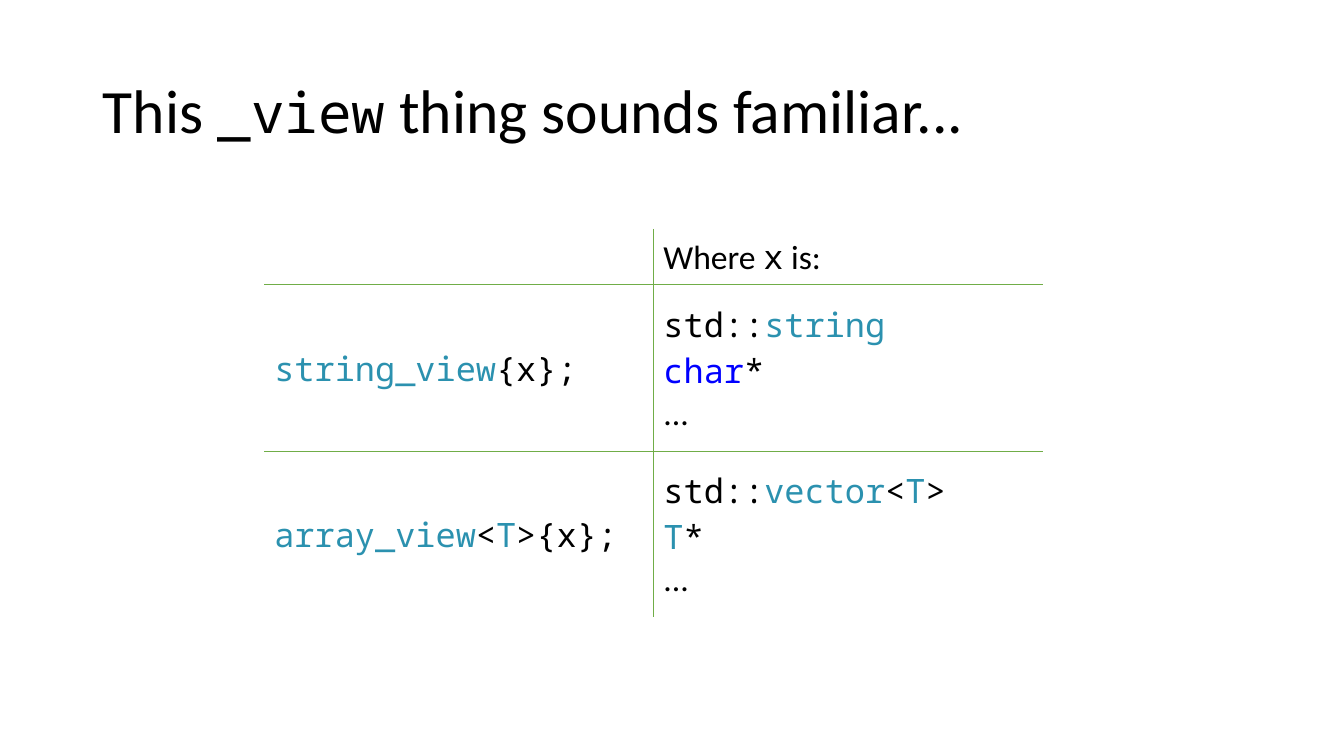
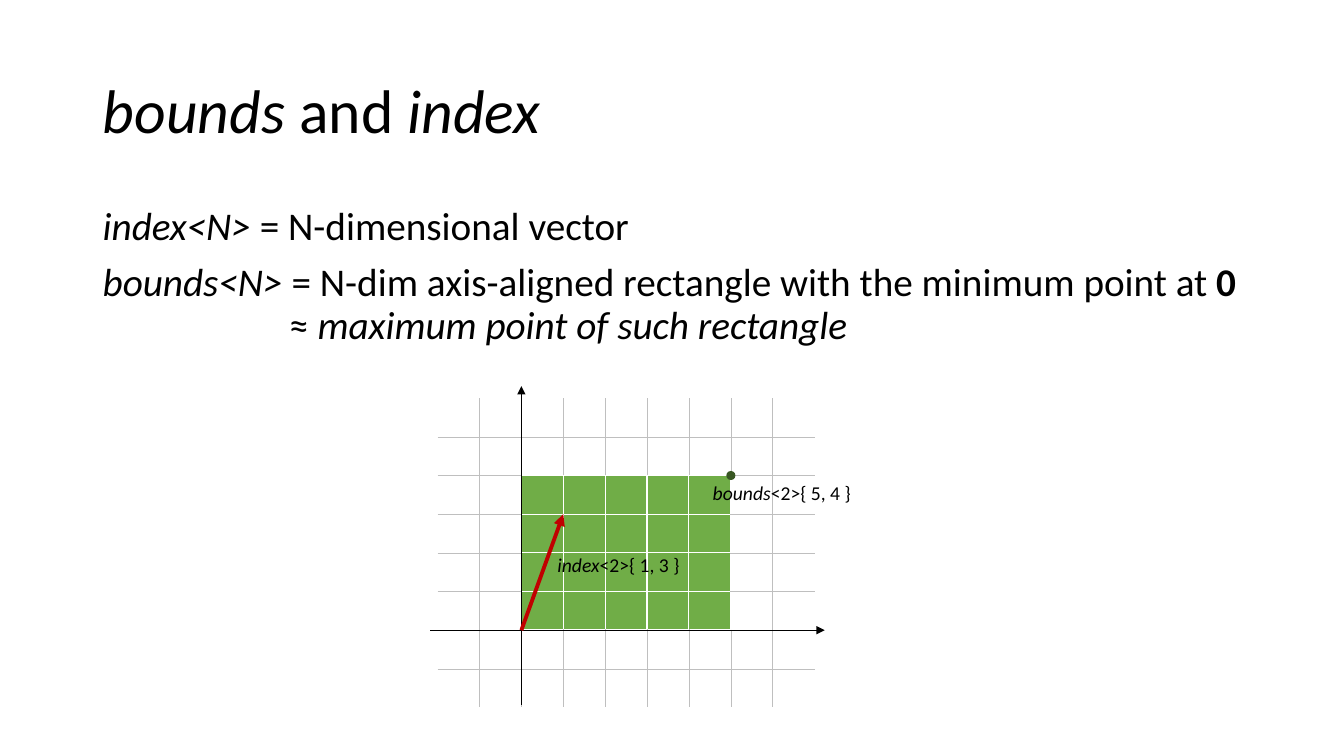
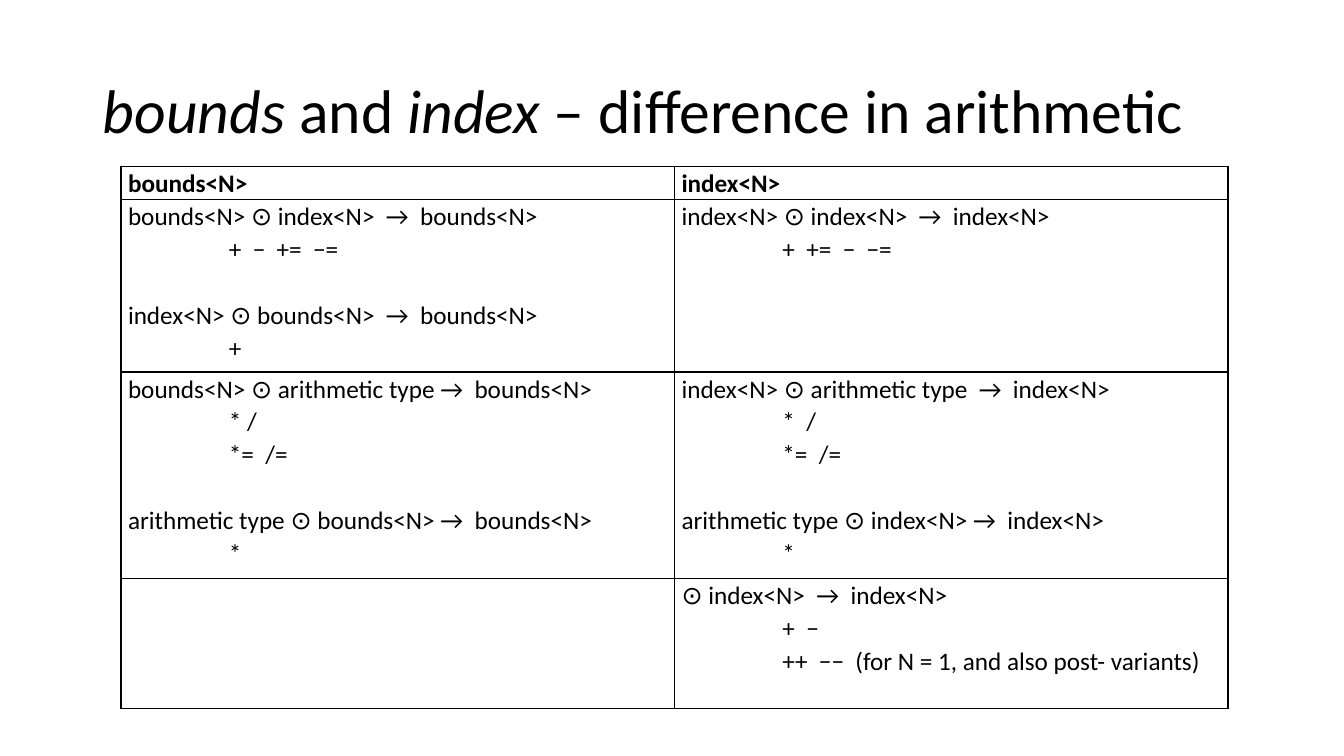
from dataclasses import dataclass

import pptx
import pptx.chart.data
import pptx.dml.color
import pptx.enum.shapes
import pptx.enum.text
import pptx.oxml
import pptx.oxml.ns
import pptx.util

Inches = pptx.util.Inches
Pt = pptx.util.Pt
ALIGN = pptx.enum.text.PP_ALIGN
ANCHOR = pptx.enum.text.MSO_ANCHOR


# Shared look
@dataclass(frozen=True)
class Theme:
    sans: str = "Calibri"
    mono: str = "Noto Sans Mono"
    black: str = "000000"
    white: str = "FFFFFF"
    green: str = "70AD47"
    dark_green: str = "385723"
    grid: str = "BFBFBF"
    red: str = "C00000"
    type_name: str = "2B91AF"
    keyword: str = "0000FF"
    title_size: float = 44
    title_code_size: float = 40
    body_size: float = 28
    code_size: float = 24
    rule_size: float = 18
    label_size: float = 14
    table_style: str = "{2D5ABB26-0587-4C30-8999-92F81FD0307C}"


THEME = Theme()


@dataclass(frozen=True)
class Span:
    text: str
    italic: bool = False
    bold: bool = False
    font: str = THEME.sans
    color: str = THEME.black
    size: float = 0


def slanted(text):
    return Span(text, italic=True)


def code(text, color=THEME.black, size=0):
    return Span(text, font=THEME.mono, color=color, size=size)


def type_code(text):
    return code(text, THEME.type_name)


def rgb(color):
    return pptx.dml.color.RGBColor.from_string(color)


# Text
def write(para, spans, size):
    for span in spans:
        run = para.add_run()
        run.text = span.text
        font = run.font
        font.name = span.font
        font.size = Pt(span.size or size)
        font.color.rgb = rgb(span.color)
        font.italic = span.italic
        font.bold = span.bold


def next_para(frame, first):
    return frame.paragraphs[0] if first else frame.add_paragraph()


def indent(para, inches):
    props = para._p.get_or_add_pPr()
    props.set("marL", str(Inches(inches)))
    props.set("indent", "0")


def add_titled_page(deck, spans):
    page = deck.slides.add_slide(deck.slide_layouts[5])
    title = page.shapes.title
    title.left, title.top = Inches(0.92), Inches(0.4)
    title.width, title.height = Inches(11.5), Inches(1.45)
    frame = title.text_frame
    frame.auto_size = pptx.enum.text.MSO_AUTO_SIZE.NONE
    frame.vertical_anchor = ANCHOR.MIDDLE
    para = frame.paragraphs[0]
    para.alignment = ALIGN.LEFT
    para.line_spacing = 0.9
    write(para, spans, THEME.title_size)
    return page


def add_text_box(page, left, top, width, height, wrap):
    box = page.shapes.add_textbox(Inches(left), Inches(top), Inches(width), Inches(height))
    box.text_frame.word_wrap = wrap
    return box.text_frame


def add_label(page, left, top, width, spans):
    frame = add_text_box(page, left, top, width, 0.34, False)
    write(frame.paragraphs[0], spans, THEME.label_size)


# Tables
def add_plain_table(page, left, top, widths, heights):
    frame = page.shapes.add_table(len(heights), len(widths), Inches(left), Inches(top),
                                  Inches(sum(widths)), Inches(sum(heights)))
    table = frame.table
    table.first_row = table.horz_banding = False
    table._tbl.tblPr.find(pptx.oxml.ns.qn("a:tableStyleId")).text = THEME.table_style
    for column, width in zip(table.columns, widths):
        column.width = Inches(width)
    for row, height in zip(table.rows, heights):
        row.height = Inches(height)
    for cell in table.iter_cells():
        cell.fill.background()
    return table


def set_borders(cell, sides):
    """Sides maps L, R, T and B to (colour, points)."""
    props = cell._tc.get_or_add_tcPr()
    present = [side for side in "LRTB" if side in sides]
    for place, side in enumerate(present):
        color, points = sides[side]
        props.insert(place, pptx.oxml.parse_xml(
            f'<a:ln{side} {pptx.oxml.ns.nsdecls("a")} w="{Pt(points)}">'
            f'<a:solidFill><a:srgbClr val="{color}"/></a:solidFill></a:ln{side}>'))


def neighbours(row, column):
    return {"L": (row, column - 1), "R": (row, column + 1),
            "T": (row - 1, column), "B": (row + 1, column)}


def rule_table(table, edge_style):
    """Edge_style gives the border between two cells, or None."""
    for row in range(len(table.rows)):
        for column in range(len(table.columns)):
            edges = {side: edge_style((row, column), other)
                     for side, other in neighbours(row, column).items()}
            set_borders(table.cell(row, column),
                        {side: style for side, style in edges.items() if style})


def within(place, rows, columns):
    return place[0] in rows and place[1] in columns


# Drawing
def add_arrow(page, start, end, color, points):
    line = page.shapes.add_connector(pptx.enum.shapes.MSO_CONNECTOR.STRAIGHT,
                                     *(Inches(value) for value in (*start, *end)))
    line.line.color.rgb = rgb(color)
    line.line.width = Pt(points)
    names = pptx.oxml.ns.nsdecls("a")
    line.line._get_or_add_ln().append(
        pptx.oxml.parse_xml(f'<a:tailEnd {names} type="triangle"/>'))
    line._element.spPr.append(pptx.oxml.parse_xml(f"<a:effectLst {names}/>"))


def add_dot(page, center, size, color):
    dot = page.shapes.add_shape(pptx.enum.shapes.MSO_SHAPE.OVAL,
                                Inches(center[0] - size / 2), Inches(center[1] - size / 2),
                                Inches(size), Inches(size))
    dot.shadow.inherit = False
    dot.fill.solid()
    dot.fill.fore_color.rgb = rgb(color)
    dot.line.fill.background()


# Pages
def build_views(deck):
    page = add_titled_page(deck, [
        Span("This "), code("_view", size=THEME.title_code_size),
        Span(" thing sounds familiar...")])
    rows = [
        [[], [[Span("Where "), code("x"), Span(" is:")]]],
        [[[type_code("string_view"), code("{x};")]],
         [[code("std::"), type_code("string")],
          [code("char", THEME.keyword), code("*")],
          [Span("...")]]],
        [[[type_code("array_view"), code("<"), type_code("T"), code(">{x};")]],
         [[code("std::"), type_code("vector"), code("<"), type_code("T"), code(">")],
          [type_code("T"), code("*")],
          [Span("...")]]],
    ]
    table = add_plain_table(page, 2.62, 2.27, [3.86] * 2, [0.52, 1.65, 1.65])
    for r, row in enumerate(rows):
        for c, lines in enumerate(row):
            cell = table.cell(r, c)
            cell.vertical_anchor = ANCHOR.MIDDLE
            for n, spans in enumerate(lines):
                write(next_para(cell.text_frame, n == 0), spans, THEME.code_size)
    rule_table(table, lambda place, other:
               (THEME.green, 1) if within(other, range(3), range(2)) else None)


def add_lattice(page, left, top, cell_width, cell_height):
    rows, columns = range(8), range(9)
    green_rows, green_columns = range(2, 6), range(2, 7)
    table = add_plain_table(page, left, top, [cell_width] * 9, [cell_height] * 8)

    def edge_style(place, other):
        if any(within(p, green_rows, green_columns) for p in (place, other)):
            return THEME.white, 1
        return (THEME.grid, 0.25) if within(other, rows, columns) else None

    for row in rows:
        for column in columns:
            cell = table.cell(row, column)
            cell.margin_top = cell.margin_bottom = 0
            if within((row, column), green_rows, green_columns):
                cell.fill.solid()
                cell.fill.fore_color.rgb = rgb(THEME.green)
    rule_table(table, edge_style)


def build_bounds_and_index(deck):
    page = add_titled_page(deck, [slanted("bounds"), Span(" and "), slanted("index")])

    # Definitions: indent, space before, spans
    definitions = [
        (0, 10, [slanted("index<N>"), Span(" = N-dimensional vector")]),
        (0, 10, [slanted("bounds<N>"),
                 Span(" = N-dim axis-aligned rectangle with the minimum point at "),
                 Span("0", bold=True)]),
        (1.85, 0, [Span("≈ "), slanted("maximum point of such rectangle")]),
    ]
    frame = add_text_box(page, 0.92, 2, 11.5, 1.6, True)
    for n, (left, before, spans) in enumerate(definitions):
        para = next_para(frame, n == 0)
        para.line_spacing = 0.9
        para.space_before = Pt(before)
        indent(para, left)
        write(para, spans, THEME.body_size)

    # Plane, with its origin two columns in and six rows down
    left, top, cell_width, cell_height = 4.34, 3.95, 3.74 / 9, 3.07 / 8
    add_lattice(page, left, top, cell_width, cell_height)

    def point(x, y):
        return left + (2 + x) * cell_width, top + (6 - y) * cell_height

    origin = point(0, 0)
    add_arrow(page, (origin[0], 6.99), (origin[0], 3.83), THEME.black, 0.75)
    add_arrow(page, (4.27, origin[1]), (8.18, origin[1]), THEME.black, 0.75)
    add_dot(page, point(5, 4), 0.09, THEME.dark_green)
    add_label(page, 6.97, 4.72, 1.59, [slanted("bounds"), Span("<2>{ 5, 4 }")])
    add_arrow(page, origin, point(1, 3), THEME.red, 2.75)
    add_label(page, 5.43, 5.44, 1.43, [slanted("index"), Span("<2>{ 1, 3 }")])


def fill_rules(cell, groups, bold):
    """Each group is a signature followed by its indented operators."""
    cell.margin_left = cell.margin_right = Inches(0.07)
    cell.margin_top = cell.margin_bottom = 0
    for g, group in enumerate(groups):
        for n, text in enumerate(group):
            para = next_para(cell.text_frame, g == n == 0)
            para.alignment = ALIGN.JUSTIFY
            para.line_spacing = 1.07
            if n:
                indent(para, 1)
            elif g:
                para.space_before = Pt(23.4)
            write(para, [Span(text, bold=bold)], THEME.rule_size)


def build_arithmetic(deck):
    page = add_titled_page(deck, [
        slanted("bounds"), Span(" and "), slanted("index "),
        Span("– difference in arithmetic")])
    rows = [
        [[["bounds<N>"]], [["index<N>"]]],
        [[["bounds<N> ⊙ index<N>  →  bounds<N>", "+  −  +=  −="],
          ["index<N> ⊙ bounds<N>  →  bounds<N>", "+"]],
         [["index<N> ⊙ index<N>  →  index<N>", "+  +=  −  −="]]],
        [[["bounds<N> ⊙ arithmetic type →  bounds<N>", "* /", "*=  /="],
          ["arithmetic type ⊙ bounds<N> →  bounds<N>", "*"]],
         [["index<N> ⊙ arithmetic type  →  index<N>", "*  /", "*=  /="],
          ["arithmetic type ⊙ index<N> →  index<N>", "*"]]],
        [[], [["⊙ index<N>  →  index<N>", "+  −",
               "++  −−  (for N = 1, and also post- variants)"]]],
    ]
    table = add_plain_table(page, 1.2, 1.65, [5.49] * 2, [0.33, 1.71, 2.05, 1.29])
    for r, row in enumerate(rows):
        for c, groups in enumerate(row):
            fill_rules(table.cell(r, c), groups, bold=r == 0)
    rule_table(table, lambda place, other: (THEME.black, 1))


def main():
    deck = pptx.Presentation()
    deck.slide_width, deck.slide_height = Inches(13.33), Inches(7.5)
    build_views(deck)
    build_bounds_and_index(deck)
    build_arithmetic(deck)
    deck.save("out.pptx")


if __name__ == "__main__":
    main()
